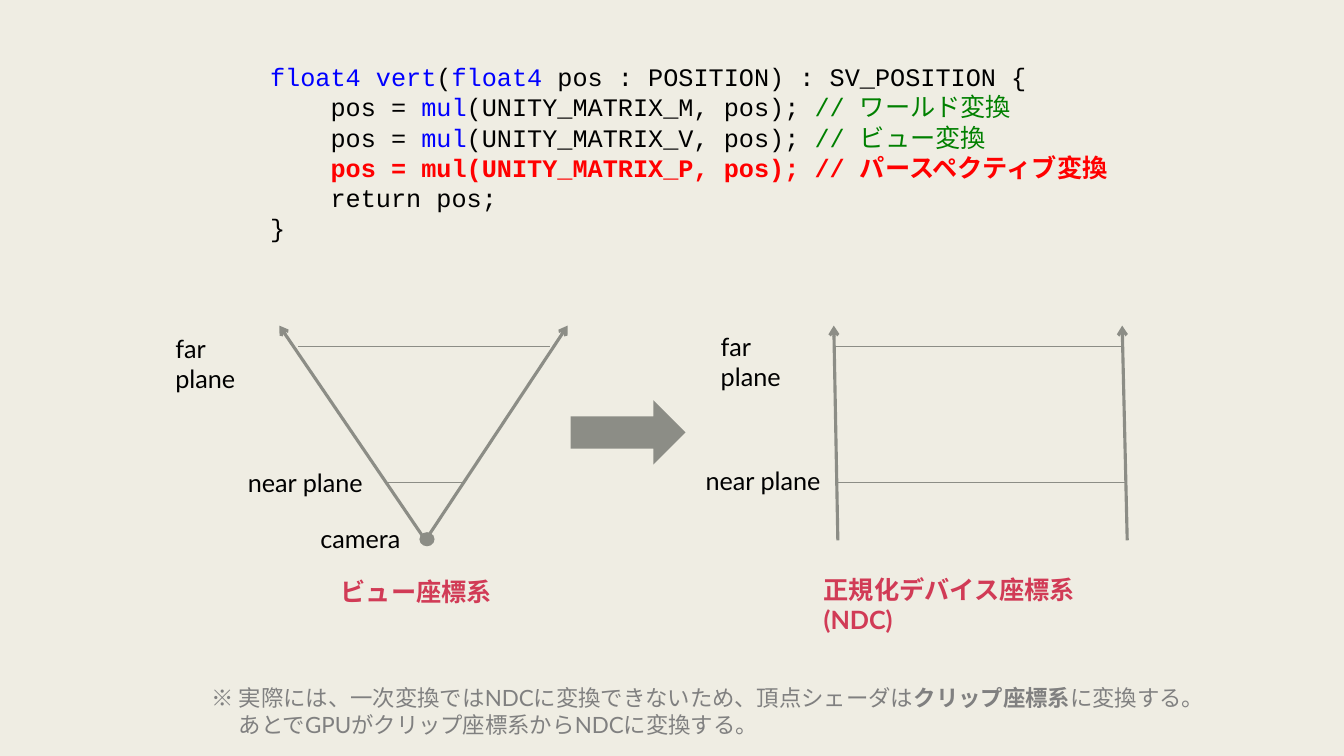
import pptx
import pptx.util
import pptx.dml.color
import pptx.enum.shapes
import pptx.enum.text
import pptx.oxml
import pptx.oxml.ns
import lxml.etree

Inches = pptx.util.Inches
Kind = pptx.enum.shapes.MSO_SHAPE
GRAY, BLACK, ROSE = "8C8D86", "000000", "D13B56"
BLUE, GREEN, RED, NOTE = "0000FF", "008000", "FF0000", "808080"


def paint(color, value):
    color.rgb = pptx.dml.color.RGBColor.from_string(value)


class Board:
    def __init__(self, deck, back):
        self.font = "Lato"
        self.mono = "Courier New"
        self.slide = deck.slides.add_slide(deck.slide_layouts[6])
        fill = self.slide.background.fill
        fill.solid()
        paint(fill.fore_color, back)

    def text(self, x, y, w, h, lines, size=18, font=None):
        box = self.slide.shapes.add_textbox(Inches(x), Inches(y), Inches(w), Inches(h))
        frame = box.text_frame
        frame.word_wrap = True
        frame.auto_size = pptx.enum.text.MSO_AUTO_SIZE.SHAPE_TO_FIT_TEXT
        for i, line in enumerate(lines):
            para = frame.paragraphs[0] if i == 0 else frame.add_paragraph()
            for words, color, bold in line:
                run = para.add_run()
                run.text = words
                run.font.name = font or self.font
                run.font.size = pptx.util.Pt(size)
                run.font.bold = bold
                paint(run.font.color, color)
        return box

    def label(self, x, y, w, words, color=BLACK, bold=False):
        return self.text(x, y, w, 0.4, [[(words, color, bold)]])

    def code(self, x, y, w, h, lines):
        return self.text(x, y, w, h, lines, font=self.mono)

    def line(self, start, end, width=0.5):
        ends = [Inches(v) for v in (*start, *end)]
        link = self.slide.shapes.add_connector(
            pptx.enum.shapes.MSO_CONNECTOR.STRAIGHT, *ends)
        paint(link.line.color, GRAY)
        link.line.width = pptx.util.Pt(width)
        props = link._element.spPr
        lxml.etree.SubElement(props, pptx.oxml.ns.qn("a:effectLst"))
        return link

    def arrow(self, start, end):
        link = self.line(start, end, 2.25)
        edge = link.line._get_or_add_ln()
        lxml.etree.SubElement(edge, pptx.oxml.ns.qn("a:tailEnd"), type="arrow")

    def shape(self, kind, x, y, w, h):
        form = self.slide.shapes.add_shape(
            kind, Inches(x), Inches(y), Inches(w), Inches(h))
        form.shadow.inherit = False
        form.fill.solid()
        paint(form.fill.fore_color, GRAY)
        form.line.fill.background()


def step(mark, note):
    return [("     pos = ", BLACK, False), ("mul", BLUE, False),
            (f"(UNITY_MATRIX_{mark}, pos); ", BLACK, False),
            (f"// {note}", GREEN, False)]


def main():
    deck = pptx.Presentation()
    deck.slide_width, deck.slide_height = Inches(13.33), Inches(7.5)
    board = Board(deck, "EFEDE3")

    board.code(2.43, 0.56, 8.82, 1.92, [
        [(" ", BLACK, False), ("float4 vert", BLUE, False), ("(", BLACK, False),
         ("float4", BLUE, False), (" pos : POSITION) : SV_POSITION {", BLACK, False)],
        step("M", "ワールド変換"),
        step("V", "ビュー変換"),
        [("     ", BLACK, False),
         ("pos = mul(UNITY_MATRIX_P, pos); // パースペクティブ変換", RED, True)],
        [("     return pos;", BLACK, False)],
        [(" }", BLACK, False)],
    ])

    top, far, near, base = 3.23, 3.44, 4.79, 5.36
    views = [
        ((4.22, 2.77), (4.22, 5.63), (2.96, 5.45), (3.85, 4.6)),
        ((8.31, 8.27), (11.18, 11.13), (8.27, 11.13), (8.31, 11.18)),
    ]
    for left, right, wide, slim in views:
        for foot, tip in (left, right):
            board.arrow((foot, base), (tip, top))
        for (a, b), y in ((wide, far), (slim, near)):
            board.line((a, y), (b, y))

    for x, shift, y in ((1.64, 0.72, 3.26), (7.05, -0.15, 3.24)):
        board.label(x, y, 1.15, "far plane")
        board.label(x + shift, y + 1.33, 1.34, "near plane")

    board.shape(Kind.OVAL, 4.16, 5.28, 0.15, 0.14)
    board.label(3.08, 5.14, 1, "camera")
    board.shape(Kind.RIGHT_ARROW, 5.66, 3.97, 1.14, 0.64)
    board.label(3.28, 5.67, 1.72, "ビュー座標系", ROSE, True)
    board.label(8.07, 5.65, 3.35, "正規化デバイス座標系(NDC)", ROSE, True)

    note = board.text(2, 6.74, 10.11, 0.64, [
        [("※ 実際には、一次変換ではNDCに変換できないため、頂点シェーダは", NOTE, False),
         ("クリップ座標系", NOTE, True), ("に変換する。", NOTE, False)],
        [("あとでGPUがクリップ座標系からNDCに変換する。", NOTE, False)],
    ], size=16)
    last = note.text_frame.paragraphs[1]._p.get_or_add_pPr()
    last.set("marL", str(Inches(0.27)))
    last.set("indent", "0")

    deck.save("out.pptx")


if __name__ == "__main__":
    main()
